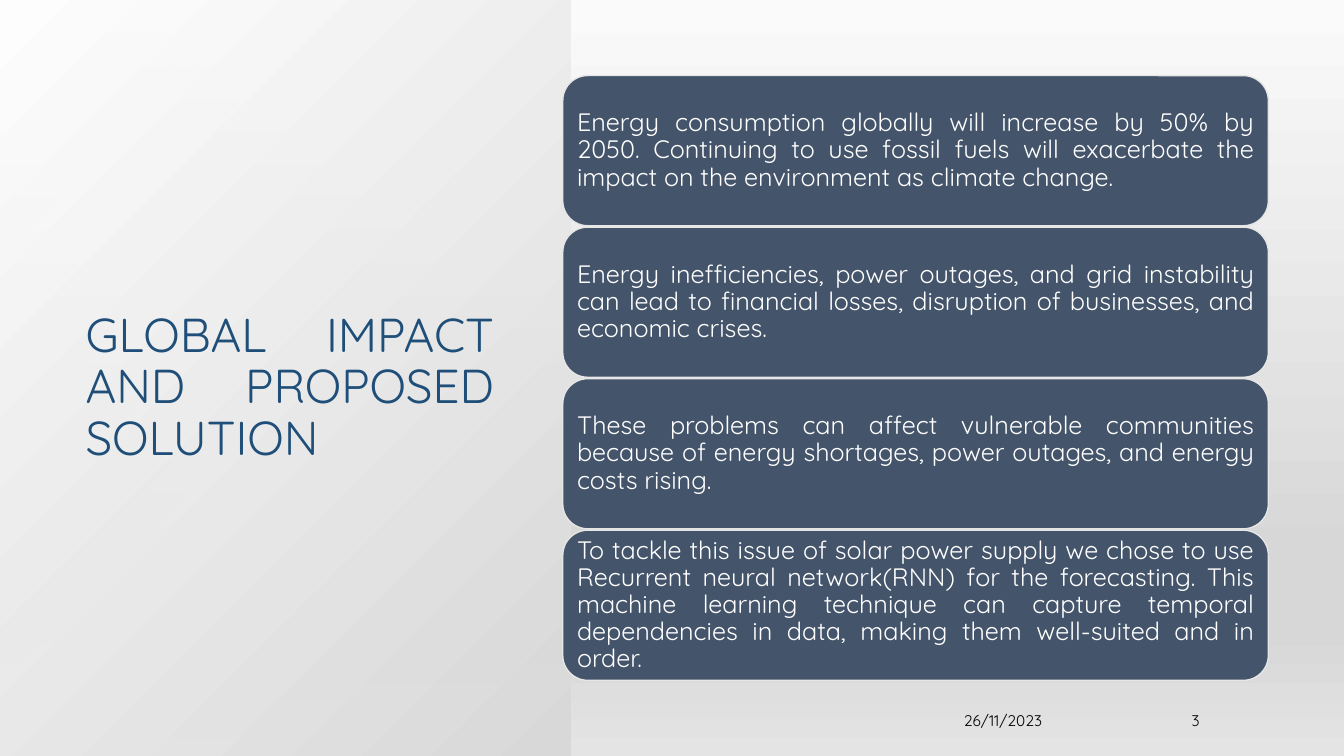
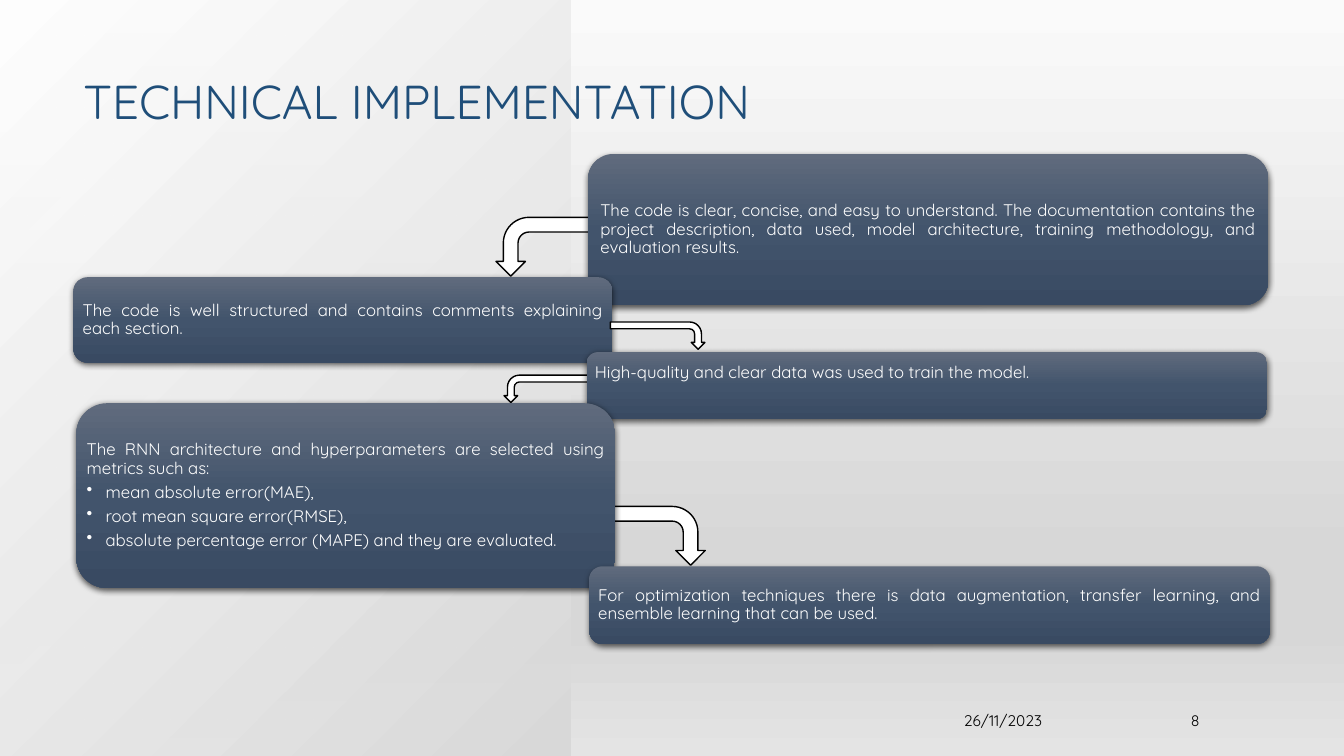
from pptx import Presentation
from pptx.dml.color import RGBColor
from pptx.enum.shapes import MSO_SHAPE
from pptx.enum.text import MSO_ANCHOR, PP_ALIGN
from pptx.oxml.ns import qn
from pptx.util import Pt
from lxml import etree

RECTANGLE = MSO_SHAPE.RECTANGLE
ROUNDED = MSO_SHAPE.ROUNDED_RECTANGLE
BENT_ARROW = MSO_SHAPE.BENT_ARROW
MIDDLE, BOTTOM = MSO_ANCHOR.MIDDLE, MSO_ANCHOR.BOTTOM
LEFT, RIGHT, JUSTIFY = PP_ALIGN.LEFT, PP_ALIGN.RIGHT, PP_ALIGN.JUSTIFY

FONT = "Quicksand"
BLACK, WHITE = "000000", "FFFFFF"
TITLE_BLUE, SLATE, CARD_EDGE = "1F4E79", "44546A", "E7E6E6"
BACKDROP = [(0, "FAFAFA", 100), (74, "D7D7D7", 100), (83, "D7D7D7", 100), (100, "E4E4E4", 100)]
PANEL = [(0, "D9D9D9", 100), (100, WHITE, 89)]
CARD_SHADE = [(0, "606B7D", 100), (50, "42546C", 100), (100, "394A62", 100)]
WIDTH, HEIGHT = 960, 540
DATE = "26/11/2023"

IMPACTS = [
    "Energy consumption globally will increase by 50% by 2050. Continuing to use fossil fuels "
    "will exacerbate the impact on the environment as climate change.",
    "Energy inefficiencies, power outages, and grid instability can lead to financial losses, "
    "disruption of businesses, and economic crises.",
    "These problems can affect vulnerable communities because of energy shortages, "
    "power outages, and energy costs rising.",
    "To tackle this issue of solar power supply we chose to use Recurrent neural network(RNN) "
    "for the forecasting. This machine learning technique can capture temporal dependencies "
    "in data, making them well-suited and in order.",
]

STEPS = [
    ((420, 110, 486, 108), (3.6, 3.6, 3.6, 3.6),
     ["The code is clear, concise, and easy to understand. The documentation contains the "
      "project description, data used, model architecture, training methodology, and "
      "evaluation results."]),
    ((52.5, 198, 385, 61), (3.6, 3.6, 3.6, 3.6),
     ["The code is well structured and contains comments explaining each section."]),
    ((419, 251.5, 486, 48), (3.6, 3.6, 3.6, 21.6),
     ["High-quality and clear data was used to train the model."]),
    ((54.5, 288, 385, 132), (1, 3.6, 1, 3.6),
     ["The RNN architecture and hyperparameters are selected using metrics such as:",
      "mean absolute error(MAE),",
      "root mean square error(RMSE),",
      "absolute percentage error (MAPE) and they are evaluated."]),
    ((421, 404.5, 486, 55.5), (3.6, 3.6, 3.6, 3.6),
     ["For optimization techniques there is data augmentation, transfer learning, and "
      "ensemble learning that can be used."]),
]


def color(value):
    return RGBColor.from_string(value)


def child(parent, tag, **attributes):
    return etree.SubElement(parent, qn(tag), {key: str(value) for key, value in attributes.items()})


def add_color(parent, value, opacity):
    swatch = child(parent, "a:srgbClr", val=value)
    if opacity < 100:
        child(swatch, "a:alpha", val=opacity * 1000)


def fill_gradient(fill, owner, stops, from_corner=False):
    fill.gradient()
    gradient = owner.find(".//" + qn("a:gradFill"))
    for part in list(gradient):
        gradient.remove(part)
    stop_list = child(gradient, "a:gsLst")
    for position, value, opacity in stops:
        add_color(child(stop_list, "a:gs", pos=position * 1000), value, opacity)
    if from_corner:
        circle = etree.SubElement(gradient, qn("a:path"), {"path": "circle"})
        child(circle, "a:fillToRect", l=100000, t=100000)
    else:
        child(gradient, "a:lin", ang=5400000, scaled=0)


def add_shape(slide, kind, box, fill=None, edge=None):
    shape = slide.shapes.add_shape(kind, *map(Pt, box))
    shape.shadow.inherit = False
    if fill:
        shape.fill.solid()
        shape.fill.fore_color.rgb = color(fill)
    if edge:
        shape.line.color.rgb = color(edge)
        shape.line.width = Pt(1)
    else:
        shape.line.fill.background()
    return shape


def write(shape, lines, size, ink, align, anchor, spacing=0.9, after=0, insets=(7.2, 3.6, 7.2, 3.6)):
    frame = shape.text_frame
    frame.text = "\n".join(lines)
    frame.word_wrap = True
    frame.vertical_anchor = anchor
    frame.margin_left, frame.margin_top, frame.margin_right, frame.margin_bottom = map(Pt, insets)
    for paragraph in frame.paragraphs:
        paragraph.alignment = align
        paragraph.line_spacing = spacing
        paragraph.space_after = Pt(after)
        for run in paragraph.runs:
            run.font.name = FONT
            run.font.size = Pt(size)
            run.font.color.rgb = color(ink)


def add_label(slide, box, text, size, ink, align, anchor, spacing=0.9):
    label = slide.shapes.add_textbox(*map(Pt, box))
    write(label, [text], size, ink, align, anchor, spacing)


def add_title(slide, box, text, align):
    add_label(slide, box, text, 34, TITLE_BLUE, align, BOTTOM)


def add_footer(slide, number):
    for left, width, text in ((641.5, 110, DATE), (774, 90, number)):
        add_label(slide, (left, 507.5, width, 14.5), text, 11, BLACK, RIGHT, MIDDLE, 1)


def add_base(deck):
    slide = deck.slides.add_slide(deck.slide_layouts[6])
    panel = add_shape(slide, RECTANGLE, (0, 0, 407.5, HEIGHT))
    fill_gradient(panel.fill, panel.element, PANEL, from_corner=True)
    return slide


def add_bullets(paragraphs):
    for paragraph in paragraphs:
        properties = paragraph._p.get_or_add_pPr()
        properties.set("marL", str(Pt(13.5)))
        properties.set("indent", str(-Pt(13.5)))
        child(properties, "a:buChar", char="•")


def add_step(slide, box, insets, lines):
    card = add_shape(slide, ROUNDED, box)
    fill_gradient(card.fill, card.element, CARD_SHADE)
    effects = card.element.spPr.find(qn("a:effectLst"))
    shadow = child(effects, "a:outerShdw", blurRad=Pt(4.5), dist=Pt(1.5), dir=5400000,
                   algn="ctr", rotWithShape=0)
    add_color(shadow, BLACK, 63)
    write(card, lines, 12, WHITE, JUSTIFY, MIDDLE, after=4.2, insets=insets)
    add_bullets(card.text_frame.paragraphs[1:])


def add_arrow(slide, left, top, width, to_left=False):
    arrow = add_shape(slide, BENT_ARROW, (left, top, width, 67.5), WHITE, BLACK)
    arrow.rotation = 270 if to_left else 90
    if to_left:
        arrow.element.spPr.find(qn("a:xfrm")).set("flipH", "1")


def build_impact(deck):
    slide = add_base(deck)
    add_title(slide, (54, 186, 306, 150), "GLOBAL IMPACT AND PROPOSED SOLUTION", JUSTIFY)
    top, bottom, gap = 54, 486, 1
    height = (bottom - top + gap) / len(IMPACTS) - gap
    for index, impact in enumerate(IMPACTS):
        box = (402, top + index * (height + gap), 504, height)
        card = add_shape(slide, ROUNDED, box, SLATE, CARD_EDGE)
        write(card, [impact], 18, WHITE, JUSTIFY, MIDDLE, after=6.3, insets=(5, 5, 5, 5))
    add_footer(slide, "3")


def build_implementation(deck):
    slide = add_base(deck)
    add_arrow(slide, 367, 142.5, 42, to_left=True)
    add_arrow(slide, 449, 349, 42)
    add_arrow(slide, 384, 244, 19.5, to_left=True)
    add_title(slide, (52.5, 35.5, 618, 61), "TECHNICAL IMPLEMENTATION", LEFT)
    add_footer(slide, "8")
    for box, insets, lines in STEPS:
        add_step(slide, box, insets, lines)
    add_arrow(slide, 460, 206, 19.5)


def main():
    deck = Presentation()
    deck.slide_width, deck.slide_height = Pt(WIDTH), Pt(HEIGHT)
    master = deck.slide_master
    fill_gradient(master.background.fill, master.element, BACKDROP)
    build_impact(deck)
    build_implementation(deck)
    deck.save("out.pptx")


if __name__ == "__main__":
    main()
